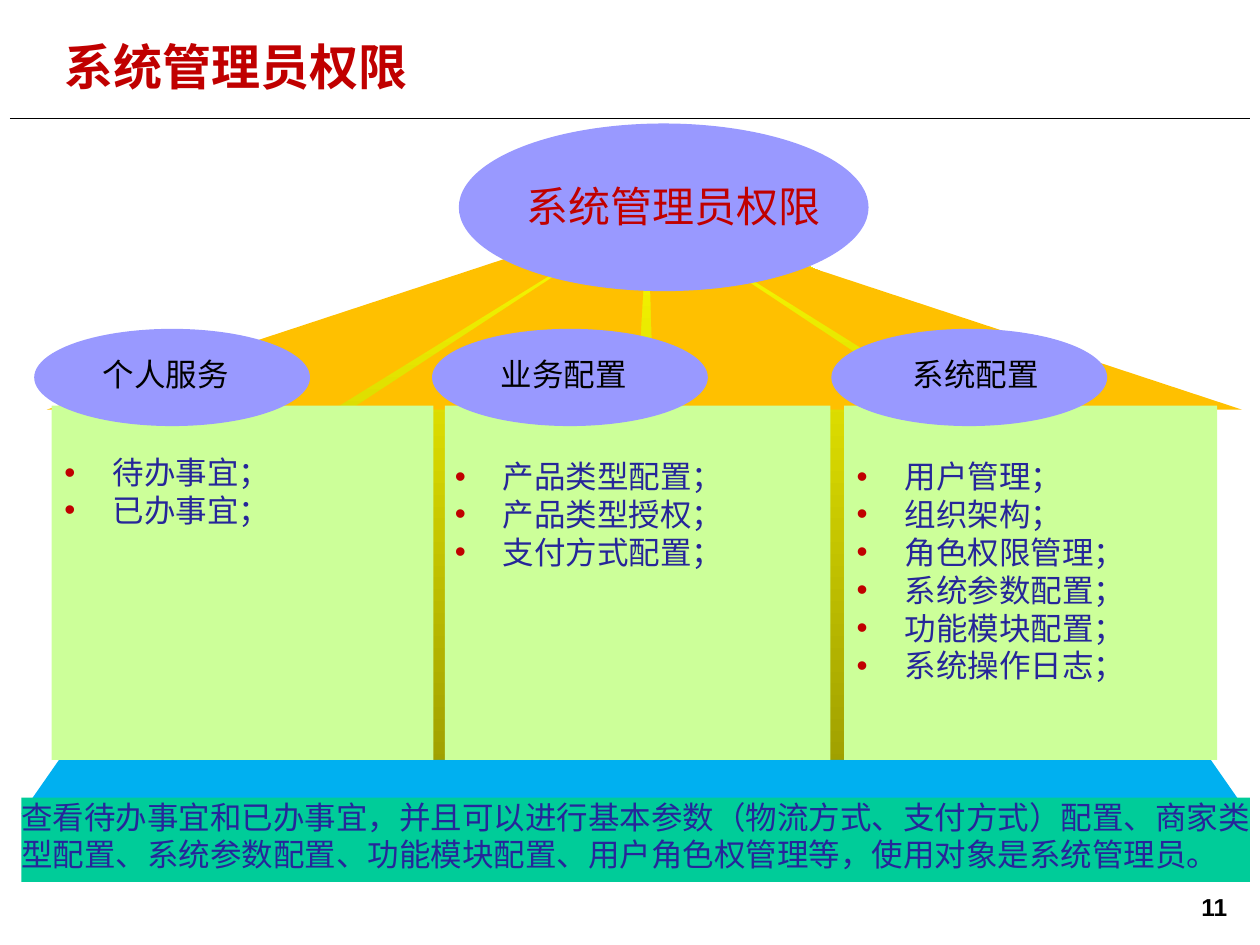
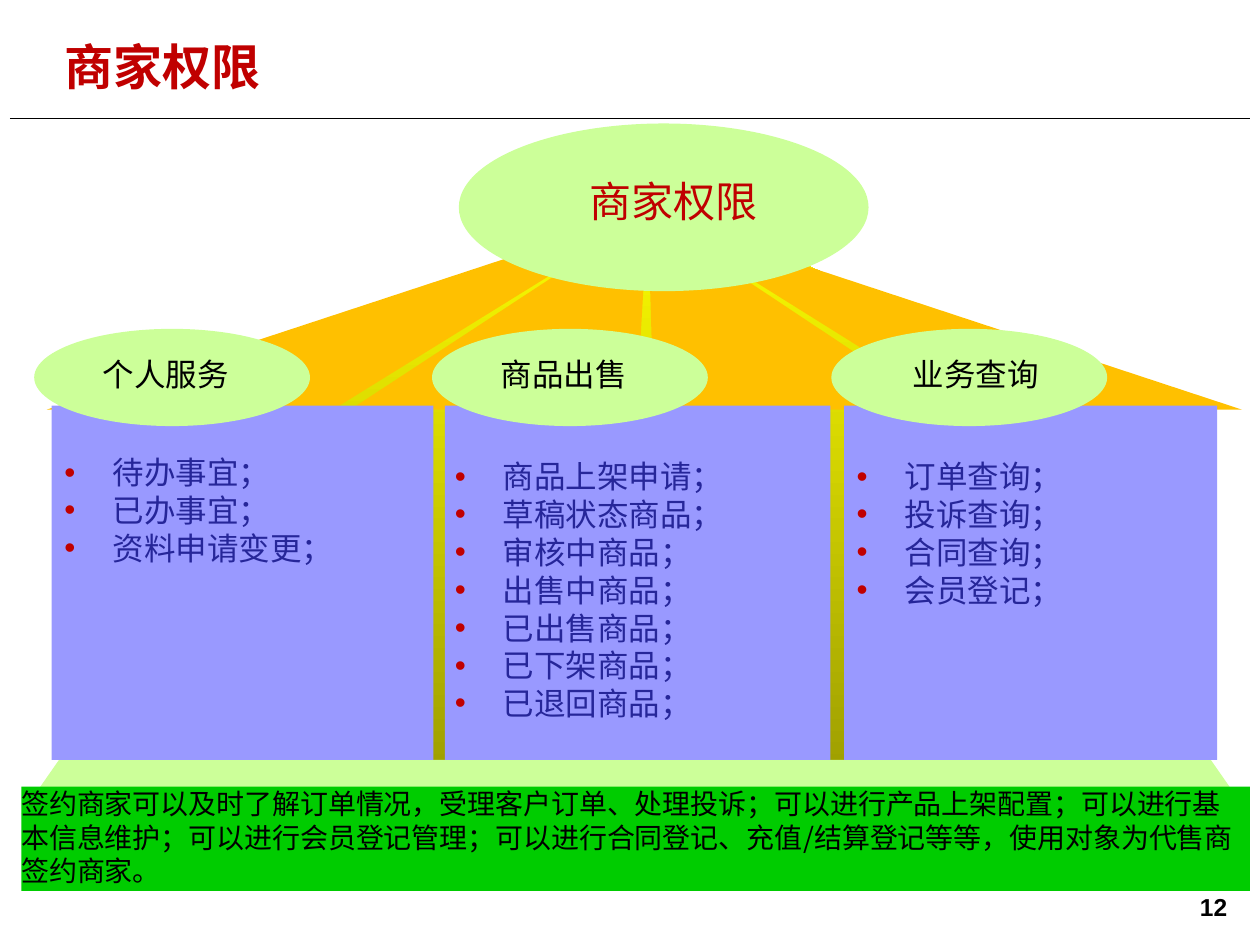
from lxml.etree import SubElement
from pptx import Presentation
from pptx.dml.color import RGBColor
from pptx.enum.shapes import MSO_CONNECTOR, MSO_SHAPE
from pptx.enum.text import MSO_ANCHOR, PP_ALIGN
from pptx.oxml.ns import qn
from pptx.util import Cm, Pt

COLORS = {
    "red": "C00000",
    "black": "000000",
    "navy": "262699",
    "lime": "CCFF99",
    "violet": "9999FF",
    "orange": "FFC000",
    "sky": "00B0F0",
    "teal": "00CC99",
    "green": "00CC00",
    "olive": "A0A000",
    "yellow": "FFFF00",
}
CJK_FONT = "Noto Sans CJK SC"

# Outlines in cm: backdrop behind the columns, roof segments, base under the columns
BACKDROP = [(6.83, 15.44), (20.22, 15.44), (20.22, 7.16), (13.41, 4.04),
            (6.65, 7.16), (6.65, 15.44)]
ROOF = [(0.94, 8.26), (13, 4.29), (25.04, 8.26), (19.35, 8.26), (13, 4.29),
        (18.97, 8.26), (13.18, 8.26), (13.06, 4.29), (12.83, 8.26),
        (7.06, 8.26), (13, 4.37), (6.71, 8.26)]
BASE = [(0.43, 16.41), (1.19, 15.32), (24.41, 15.32), (25.17, 16.41)]
BAND_LEFT, BAND_WIDTH = 0.43, 24.77

# Each column in cm: (panel left, panel width), ellipse left, label left,
# (list left, list top, list width)
COLUMNS = [
    ((1.04, 7.7), 0.69, 0.69, (1.3, 9.14, 5.51)),
    ((8.97, 7.77), 8.71, 8.71, (9.17, 9.22, 6.81)),
    ((17.02, 7.52), 16.76, 17.02, (17.27, 9.22, 6.73)),
]

SLIDES = [
    {
        "title": "系统管理员权限", "number": "11", "hub_top": 3.63,
        "panel": "lime", "ellipse": "violet", "base": "sky", "band": "teal",
        "columns": {
            "个人服务": ["待办事宜；", "已办事宜；"],
            "业务配置": ["产品类型配置；", "产品类型授权；", "支付方式配置；"],
            "系统配置": ["用户管理；", "组织架构；", "角色权限管理；",
                     "系统参数配置；", "功能模块配置；", "系统操作日志；"],
        },
        "summary": "查看待办事宜和已办事宜，并且可以进行基本参数（物流方式、支付方式）配置、"
                   "商家类型配置、系统参数配置、功能模块配置、用户角色权管理等，"
                   "使用对象是系统管理员。",
        "band_top": 16.08, "band_height": 1.7,
        "summary_size": 18, "summary_color": "navy",
    },
    {
        "title": "商家权限", "number": "12", "hub_top": 3.53,
        "panel": "violet", "ellipse": "lime", "base": "lime", "band": "green",
        "columns": {
            "个人服务": ["待办事宜；", "已办事宜；", "资料申请变更；"],
            "商品出售": ["商品上架申请；", "草稿状态商品；", "审核中商品；",
                     "出售中商品；", "已出售商品；", "已下架商品；", "已退回商品；"],
            "业务查询": ["订单查询；", "投诉查询；", "合同查询；", "会员登记；"],
        },
        "summary": "签约商家可以及时了解订单情况，受理客户订单、处理投诉；可以进行产品上架配置；"
                   "可以进行基本信息维护；可以进行会员登记管理；可以进行合同登记、"
                   "充值/结算登记等等，使用对象为代售商签约商家。",
        "band_top": 15.86, "band_height": 2.1,
        "summary_size": 16, "summary_color": "black",
    },
]


def add_text(slide, lines, left, top, width, height, size=18, color="black",
             font=CJK_FONT, bold=False, align=PP_ALIGN.LEFT,
             anchor=MSO_ANCHOR.TOP, spacing=1.2, bullet=False):
    """Add a text box, one paragraph per line; spacing is a multiple of size."""
    box = slide.shapes.add_textbox(Cm(left), Cm(top), Cm(width), Cm(height))
    frame = box.text_frame
    frame.word_wrap = True
    frame.vertical_anchor = anchor
    frame.margin_left = frame.margin_right = 0
    frame.margin_top = frame.margin_bottom = 0
    for index, line in enumerate(lines):
        paragraph = frame.paragraphs[0] if index == 0 else frame.add_paragraph()
        paragraph.alignment = align
        if spacing:
            paragraph.line_spacing = Pt(round(size * spacing, 1))
        if bullet:
            properties = paragraph._p.get_or_add_pPr()
            properties.set("marL", str(Cm(0.97)))
            properties.set("indent", str(-Cm(0.97)))
            bullet_color = SubElement(properties, qn("a:buClr"))
            SubElement(bullet_color, qn("a:srgbClr"), val=COLORS["red"])
            SubElement(properties, qn("a:buFont"), typeface="Arial")
            SubElement(properties, qn("a:buChar"), char="•")
        run = paragraph.add_run()
        run.text = line
        run.font.size = Pt(size)
        run.font.bold = bold
        run.font.name = font
        run.font.color.rgb = RGBColor.from_string(COLORS[color])
        SubElement(run._r.get_or_add_rPr(), qn("a:ea"), typeface=font)


def add_filled(slide, outline, color, *box):
    """Add a borderless preset shape in a box, or a freeform from cm points."""
    if isinstance(outline, list):
        points = [(Cm(x), Cm(y)) for x, y in outline]
        builder = slide.shapes.build_freeform(*points[0])
        builder.add_line_segments(points[1:], close=True)
        shape = builder.convert_to_shape()
    else:
        shape = slide.shapes.add_shape(outline, *[Cm(length) for length in box])
    shape.shadow.inherit = False
    shape.line.fill.background()
    shape.fill.solid()
    shape.fill.fore_color.rgb = RGBColor.from_string(COLORS[color])
    return shape


presentation = Presentation()
presentation.slide_width = Cm(25.4)
presentation.slide_height = Cm(19.05)

for content in SLIDES:
    slide = presentation.slides.add_slide(presentation.slide_layouts[6])

    # Page number, rule and title
    add_text(slide, [content["number"]], 22.86, 17.98, 1.88, 0.58, size=14,
             font="Arial", bold=True, align=PP_ALIGN.RIGHT, spacing=None)
    rule = slide.shapes.add_connector(
        MSO_CONNECTOR.STRAIGHT, Cm(0.2), Cm(2.39), Cm(25.2), Cm(2.39))
    rule.line.width = Pt(0.75)
    rule.line.color.rgb = RGBColor.from_string(COLORS["black"])
    SubElement(rule._element.spPr, qn("a:effectLst"))
    add_text(slide, [content["title"]], 1.3, 0.86, 16.2, 1.12, size=28,
             color="red", bold=True, spacing=1.08)

    # House: backdrop, roof, base, panels and summary band
    backdrop = add_filled(slide, BACKDROP, "olive")
    backdrop.fill.gradient()
    backdrop.fill.gradient_angle = 90
    for stop, name, position in zip(backdrop.fill.gradient_stops,
                                    ("olive", "yellow"), (0, 1)):
        stop.color.rgb = RGBColor.from_string(COLORS[name])
        stop.position = position
    add_filled(slide, ROOF, "orange")
    add_filled(slide, BASE, content["base"])
    for (left, width), *_ in COLUMNS:
        add_filled(slide, MSO_SHAPE.RECTANGLE, content["panel"],
                   left, 8.18, width, 7.14)
    band_box = (BAND_LEFT, content["band_top"], BAND_WIDTH, content["band_height"])
    add_filled(slide, MSO_SHAPE.RECTANGLE, content["band"], *band_box)

    # Hub and summary
    add_filled(slide, MSO_SHAPE.OVAL, content["ellipse"], 9.25, 2.49, 8.26, 3.38)
    add_text(slide, [content["title"]], 9.75, content["hub_top"], 7.67, 1.02,
             size=24, color="red", align=PP_ALIGN.CENTER,
             anchor=MSO_ANCHOR.MIDDLE)
    add_text(slide, [content["summary"]], *band_box,
             size=content["summary_size"], color=content["summary_color"])

    # Column headings and lists
    for column, (heading, items) in zip(COLUMNS, content["columns"].items()):
        _, ellipse_left, label_left, (list_left, list_top, list_width) = column
        add_filled(slide, MSO_SHAPE.OVAL, content["ellipse"],
                   ellipse_left, 6.63, 5.56, 1.96)
        add_text(slide, [heading], label_left, 7.16, 5.31, 0.76,
                 align=PP_ALIGN.CENTER)
        add_text(slide, items, list_left, list_top, list_width,
                 0.76 * len(items), color="navy", bullet=True)

presentation.save("out.pptx")
